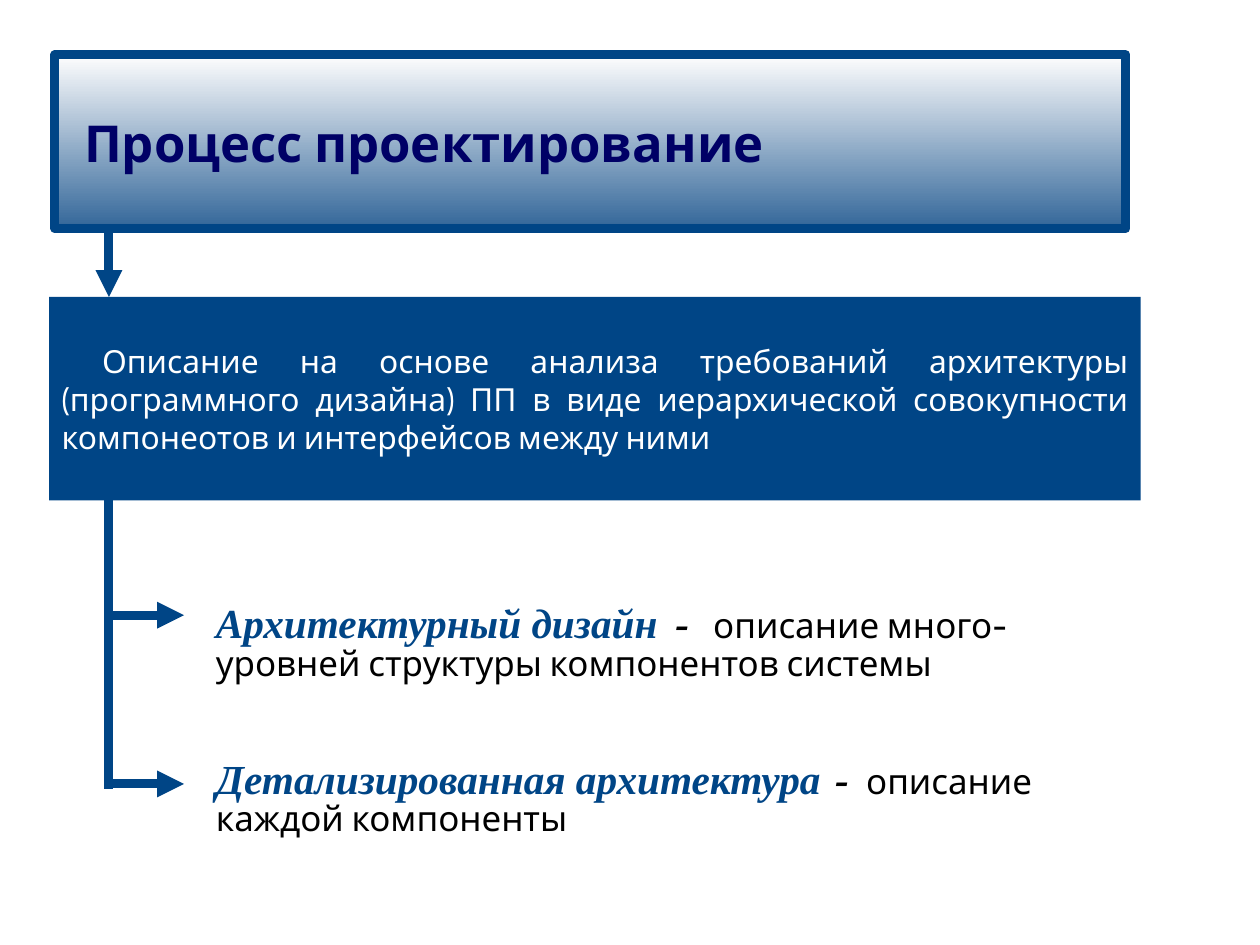
from lxml.etree import SubElement
from pptx import Presentation
from pptx.dml.color import RGBColor
from pptx.enum.shapes import MSO_CONNECTOR, MSO_SHAPE
from pptx.enum.text import MSO_ANCHOR, MSO_AUTO_SIZE, PP_ALIGN
from pptx.oxml.ns import qn
from pptx.util import Cm, Pt

BLUE = RGBColor(0x00, 0x45, 0x86)
NAVY = RGBColor(0x00, 0x00, 0x66)
STEEL = RGBColor(0x33, 0x66, 0x99)
PALE = RGBColor(0xFE, 0xFE, 0xFE)
WHITE = RGBColor(0xFF, 0xFF, 0xFF)
BLACK = RGBColor(0x00, 0x00, 0x00)
SANS, SERIF = "Cabin", "Times New Roman"
LINE_WIDTH = Pt(5.67)

TRUNK_X, BRANCH_END = 2.42, 4.09
TITLE_TOP, TITLE_HEIGHT = 1.22, 3.86
SUMMARY_TOP, SUMMARY_HEIGHT = 6.6, 4.52
TITLE_BOTTOM = TITLE_TOP + TITLE_HEIGHT
SUMMARY_BOTTOM = SUMMARY_TOP + SUMMARY_HEIGHT


def style(run, font, size, color, bold=False, italic=False):
    run.font.name, run.font.size = font, Pt(size)
    run.font.bold, run.font.italic = bold, italic
    run.font.color.rgb = color


def set_frame(frame, left, top, right):
    """Set the insets in centimetres; the bottom one equals the top one."""
    frame.word_wrap = True
    frame.auto_size = MSO_AUTO_SIZE.NONE
    frame.vertical_anchor = MSO_ANCHOR.MIDDLE
    frame.margin_left, frame.margin_right = Cm(left), Cm(right)
    frame.margin_top = frame.margin_bottom = Cm(top)


prs = Presentation()
prs.slide_width, prs.slide_height = Cm(28), Cm(21)
slide = prs.slides.add_slide(prs.slide_layouts[5])
shapes = slide.shapes

# Title
title = shapes.title
title.left, title.top = Cm(1.22), Cm(TITLE_TOP)
title.width, title.height = Cm(23.8), Cm(TITLE_HEIGHT)
title.fill.gradient()
title.fill.gradient_angle = 270
for stop, position, color in zip(title.fill.gradient_stops, (0, 1), (PALE, STEEL)):
    stop.position, stop.color.rgb = position, color
title.line.color.rgb, title.line.width = BLUE, LINE_WIDTH
set_frame(title.text_frame, 0.65, 0.25, 0.38)
title.text_frame.text = "Процесс проектирование"
heading = title.text_frame.paragraphs[0]
heading.alignment = PP_ALIGN.LEFT
style(heading.runs[0], SANS, 32, NAVY, bold=True)

# Summary of the process
summary = shapes.add_shape(
    MSO_SHAPE.RECTANGLE, Cm(1.09), Cm(SUMMARY_TOP), Cm(24.26), Cm(SUMMARY_HEIGHT))
summary.shadow.inherit = False
summary.fill.solid()
summary.fill.fore_color.rgb = BLUE
summary.line.fill.background()
set_frame(summary.text_frame, 0.28, 0.15, 0.28)
summary.text_frame.text = (
    "Описание на основе анализа требований архитектуры (программного дизайна) "
    "ПП в виде иерархической совокупности компонеотов и интерфейсов между ними")
description = summary.text_frame.paragraphs[0]
description.alignment = PP_ALIGN.JUSTIFY
description._p.get_or_add_pPr().set("indent", str(Cm(0.9)))
style(description.runs[0], SANS, 20, WHITE)

# Kinds of design: term, dash tracking in hundredths of a point, meaning
kinds = [
    ("Архитектурный дизайн", 433,
     "описание много-уровней структуры компонентов системы"),
    ("Детализированная архитектура", 217, "описание каждой компоненты"),
]
details = shapes.add_textbox(Cm(4.52), Cm(12.34), Cm(20.83), Cm(7.39)).text_frame
set_frame(details, 0.28, 0.15, 1)
for index, (term, tracking, meaning) in enumerate(kinds):
    entry = details.add_paragraph() if index else details.paragraphs[0]
    entry.line_spacing = 0.87
    if index:
        entry.space_before = Pt(48)
    term_run, dash, meaning_run = (entry.add_run() for _ in range(3))
    term_run.text, dash.text, meaning_run.text = term, " - ", meaning
    style(term_run, SERIF, 26, BLUE, bold=True, italic=True)
    style(dash, SERIF, 26, BLACK, bold=True, italic=True)
    dash.font._element.set("spc", str(tracking))
    style(meaning_run, SANS, 22, BLACK)

# Flow lines: start, end, arrowhead
flow = [
    ((TRUNK_X, TITLE_BOTTOM), (TRUNK_X, SUMMARY_TOP), True),
    ((TRUNK_X, SUMMARY_BOTTOM), (TRUNK_X, 17.53), False),
    ((TRUNK_X, 13.67), (BRANCH_END, 13.67), True),
    ((TRUNK_X, 17.42), (BRANCH_END, 17.42), True),
]
for start, end, has_head in flow:
    link = shapes.add_connector(
        MSO_CONNECTOR.STRAIGHT, *(Cm(value) for value in start + end))
    link.line.color.rgb, link.line.width = BLUE, LINE_WIDTH
    if has_head:
        SubElement(link.line._get_or_add_ln(), qn("a:tailEnd"), type="triangle")
    SubElement(link._element.spPr, qn("a:effectLst"))

prs.save("out.pptx")
